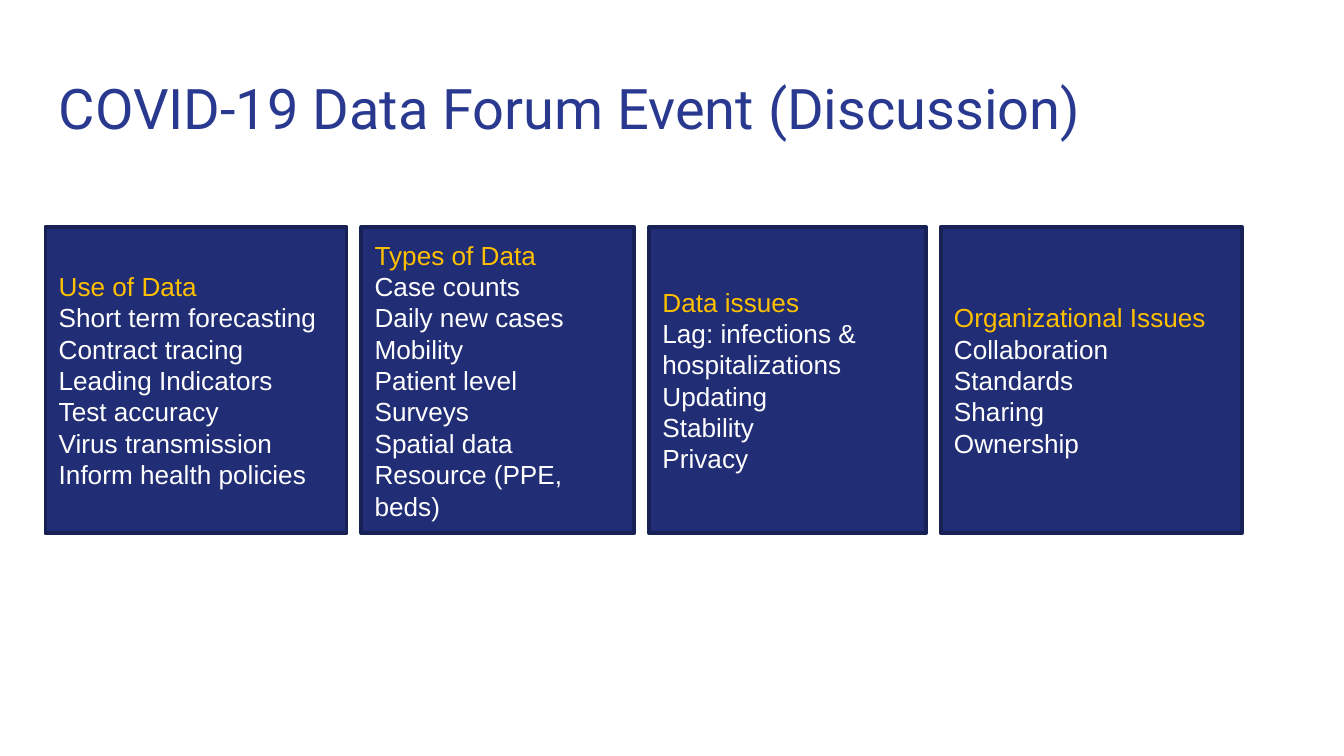
from typing import NamedTuple

from pptx import Presentation
from pptx.dml.color import RGBColor
from pptx.enum import shapes, text
from pptx.slide import Slide
from pptx.util import Cm, Pt

TITLE_BLUE = RGBColor(0x2A, 0x39, 0x90)
NAVY = RGBColor(0x21, 0x2D, 0x74)
DARK_NAVY = RGBColor(0x18, 0x21, 0x56)
GOLD = RGBColor(0xFF, 0xC0, 0x00)
WHITE = RGBColor(0xFF, 0xFF, 0xFF)

MARGIN = Cm(0.86)
CARD_TOP = Cm(4.29)
CARD_HEIGHT = Cm(5.79)
CARD_GAP = Cm(0.28)


class Topic(NamedTuple):
    heading: str
    points: list[str]
    width: Cm


TOPICS = [
    Topic("Use of Data",
          ["Short term forecasting", "Contract tracing", "Leading Indicators",
           "Test accuracy", "Virus transmission", "Inform health policies"],
          Cm(5.69)),
    Topic("Types of Data",
          ["Case counts", "Daily new cases", "Mobility", "Patient level",
           "Surveys", "Spatial data", "Resource (PPE, beds)"],
          Cm(5.16)),
    Topic("Data issues",
          ["Lag: infections & hospitalizations", "Updating", "Stability",
           "Privacy"],
          Cm(5.23)),
    Topic("Organizational Issues",
          ["Collaboration", "Standards", "Sharing", "Ownership"],
          Cm(5.69)),
]


def set_title(slide: Slide, wording: str) -> None:
    title = slide.shapes.title
    title.left, title.top = MARGIN, Cm(1.14)
    title.width, title.height = Cm(23.67), Cm(1.68)
    frame = title.text_frame
    frame.text = wording
    frame.word_wrap = True
    frame.auto_size = text.MSO_AUTO_SIZE.NONE
    frame.vertical_anchor = text.MSO_ANCHOR.TOP
    frame.margin_left = frame.margin_right = Cm(0.25)
    frame.margin_top = frame.margin_bottom = Cm(0.25)
    heading = frame.paragraphs[0]
    heading.alignment = text.PP_ALIGN.LEFT
    heading.font.name = "Roboto"
    heading.font.size = Pt(30)
    heading.font.color.rgb = TITLE_BLUE


def add_card(slide: Slide, topic: Topic, left: int) -> None:
    card = slide.shapes.add_shape(shapes.MSO_SHAPE.RECTANGLE, left, CARD_TOP,
                                  topic.width, CARD_HEIGHT)
    card.shadow.inherit = False
    card.fill.solid()
    card.fill.fore_color.rgb = NAVY
    card.line.color.rgb = DARK_NAVY
    card.line.width = Pt(2)
    frame = card.text_frame
    frame.word_wrap = True
    frame.vertical_anchor = text.MSO_ANCHOR.MIDDLE
    frame.text = "\n".join([topic.heading, *topic.points])
    for index, entry in enumerate(frame.paragraphs):
        entry.alignment = text.PP_ALIGN.LEFT
        entry.font.name = "Arial"
        entry.font.size = Pt(14)
        entry.font.color.rgb = WHITE if index else GOLD


def main() -> None:
    deck = Presentation()
    deck.slide_width, deck.slide_height = Cm(25.4), Cm(14.29)
    slide = deck.slides.add_slide(deck.slide_layouts.get_by_name("Title Only"))
    set_title(slide, "COVID-19 Data Forum Event (Discussion)")
    left = MARGIN
    for topic in TOPICS:
        add_card(slide, topic, left)
        left += topic.width + CARD_GAP
    deck.save("out.pptx")


if __name__ == "__main__":
    main()
